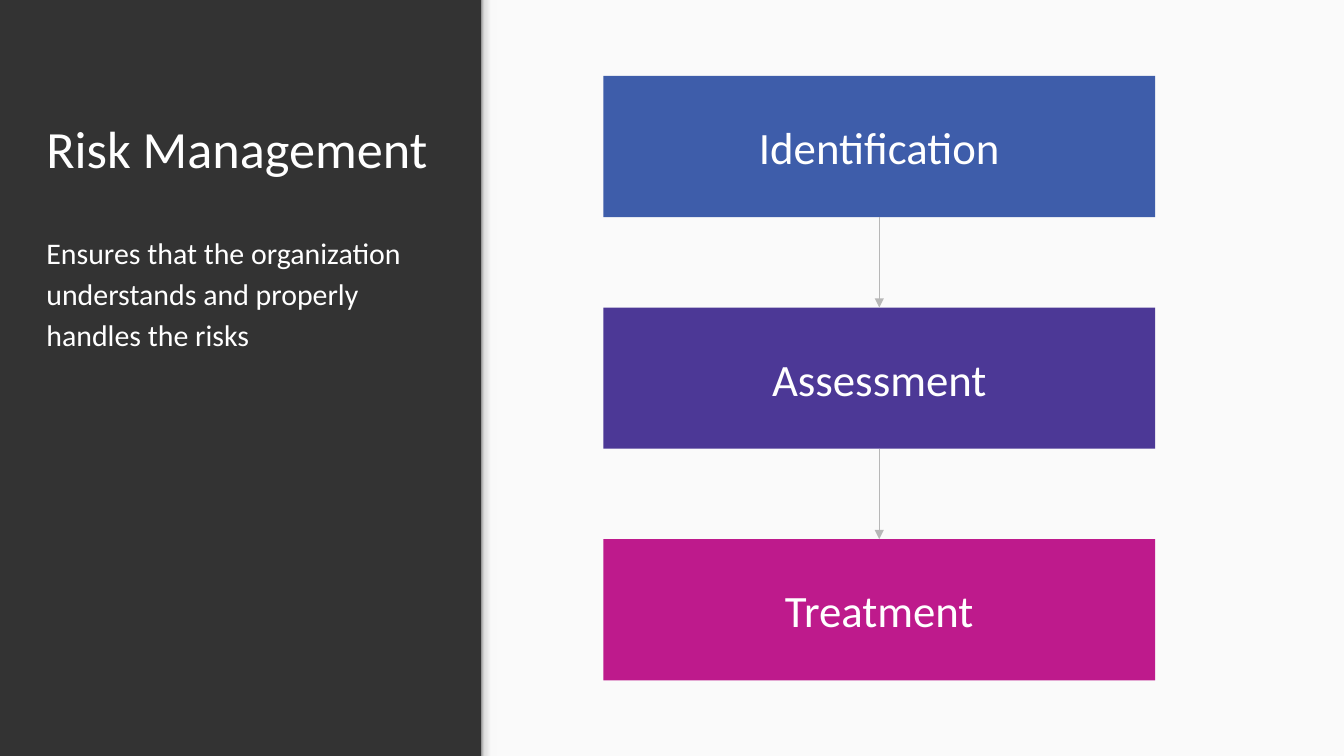
from dataclasses import dataclass
from itertools import pairwise
from typing import Any

from lxml.etree import SubElement
from pptx import Presentation
from pptx.dml.color import RGBColor
from pptx.enum.shapes import MSO_CONNECTOR, MSO_SHAPE
from pptx.enum.text import MSO_ANCHOR, MSO_AUTO_SIZE, PP_ALIGN
from pptx.oxml.ns import qn
from pptx.util import Inches, Pt

DARK = RGBColor(0x33, 0x33, 0x33)
PANEL = RGBColor(0xFA, 0xFA, 0xFA)
WHITE = RGBColor(0xFF, 0xFF, 0xFF)
ARROW = RGBColor(0xB7, 0xB7, 0xB7)
BLUE = RGBColor(0x3E, 0x5D, 0xAA)
PURPLE = RGBColor(0x4C, 0x38, 0x96)
MAGENTA = RGBColor(0xBE, 0x1A, 0x8C)
EDGE_LIGHT = RGBColor(0xF9, 0xF9, 0xF9)
EDGE_MIDDLE = RGBColor(0xDE, 0xDE, 0xDE)
EDGE_DARK = RGBColor(0x99, 0x99, 0x99)

SLIDE_WIDTH = 20
SLIDE_HEIGHT = Pt(809.63).inches
PANEL_LEFT = 7.17
EDGE_WIDTH = 0.24
BOX_LEFT, BOX_WIDTH, BOX_HEIGHT = 8.98, 8.21, 2.1
FIRST_TOP, LAST_TOP = 1.13, 8.02
EDGE_STOPS = [(0, EDGE_LIGHT), (36, EDGE_LIGHT), (80, EDGE_MIDDLE), (100, EDGE_DARK)]

FRAME_FORMAT = {
    "margin_left": Inches(0.2),
    "margin_right": Inches(0.2),
    "margin_top": Inches(0.2),
    "margin_bottom": Inches(0.2),
    "word_wrap": True,
    "auto_size": MSO_AUTO_SIZE.NONE,
}


@dataclass(frozen=True)
class Area:
    left: float
    top: float
    width: float
    height: float


@dataclass(frozen=True)
class Step:
    label: str
    color: RGBColor


STEPS = [
    Step("Identification", BLUE),
    Step("Assessment", PURPLE),
    Step("Treatment", MAGENTA),
]


def set_values(target: Any, values: dict[str, Any]) -> None:
    for name, value in values.items():
        setattr(target, name, value)


def move(shape: Any, area: Area) -> None:
    for side in ("left", "top", "width", "height"):
        setattr(shape, side, Inches(getattr(area, side)))


def write_text(shape: Any, text: str, size: int, anchor: MSO_ANCHOR,
               paragraph_format: dict[str, Any]) -> None:
    set_values(shape.text_frame, FRAME_FORMAT | {"vertical_anchor": anchor})
    paragraph = shape.text_frame.paragraphs[0]
    set_values(paragraph, paragraph_format)
    run = paragraph.add_run()
    run.text = text
    set_values(run.font, {"name": "Calibri", "size": Pt(size)})
    run.font.color.rgb = WHITE


def add_rectangle(slide: Any, area: Area, color: RGBColor) -> Any:
    shape = slide.shapes.add_shape(MSO_SHAPE.RECTANGLE, 0, 0, 0, 0)
    move(shape, area)
    shape.shadow.inherit = False
    shape.fill.solid()
    shape.fill.fore_color.rgb = color
    shape.line.fill.background()
    return shape


def add_panel_edge(slide: Any) -> None:
    center = PANEL_LEFT + EDGE_WIDTH / 2 - 0.01
    area = Area(center - SLIDE_HEIGHT / 2, (SLIDE_HEIGHT - EDGE_WIDTH) / 2,
                SLIDE_HEIGHT, EDGE_WIDTH)
    shape = add_rectangle(slide, area, EDGE_LIGHT)
    shape.rotation = 270
    shape.fill.gradient()
    shape.fill.gradient_angle = 90
    stop_list = shape.element.spPr.find(qn("a:gradFill")).find(qn("a:gsLst"))
    for stop in list(stop_list):
        stop_list.remove(stop)
    for position, color in EDGE_STOPS:
        stop = SubElement(stop_list, qn("a:gs"), pos=str(position * 1000))
        SubElement(stop, qn("a:srgbClr"), val=str(color))


def add_step(slide: Any, step: Step, top: float) -> Any:
    box = add_rectangle(slide, Area(BOX_LEFT, top, BOX_WIDTH, BOX_HEIGHT), step.color)
    write_text(box, step.label, 48, MSO_ANCHOR.MIDDLE, {"alignment": PP_ALIGN.CENTER})
    return box


def connect(slide: Any, upper: Any, lower: Any) -> None:
    connector = slide.shapes.add_connector(MSO_CONNECTOR.STRAIGHT, 0, 0, 0, 0)
    connector.begin_connect(upper, 2)
    connector.end_connect(lower, 0)
    connector.line.color.rgb = ARROW
    connector.line.width = Pt(0.75)
    properties = connector.element.spPr
    SubElement(properties.find(qn("a:ln")), qn("a:tailEnd"),
               type="triangle", w="lg", len="lg")
    SubElement(properties, qn("a:effectLst"))


def fill_placeholders(slide: Any) -> None:
    title, body = slide.shapes.title, slide.placeholders[1]
    move(title, Area(0.49, 0.78, 6.14, 2.08))
    write_text(title, "Risk Management", 56, MSO_ANCHOR.BOTTOM,
               {"alignment": PP_ALIGN.LEFT})
    move(body, Area(0.49, 3.21, 6.14, 2.1))
    write_text(body, "Ensures that the organization understands and properly handles the risks",
               32, MSO_ANCHOR.TOP,
               {"alignment": PP_ALIGN.LEFT, "line_spacing": 1.15,
                "space_before": Pt(0), "space_after": Pt(16)})
    properties = body.text_frame.paragraphs[0]._p.get_or_add_pPr()
    properties.set("marL", "0")
    properties.set("indent", "0")
    SubElement(properties, qn("a:buNone"))


def main() -> None:
    presentation = Presentation()
    presentation.slide_width = Inches(SLIDE_WIDTH)
    presentation.slide_height = Inches(SLIDE_HEIGHT)
    slide = presentation.slides.add_slide(presentation.slide_layouts[1])
    slide.background.fill.solid()
    slide.background.fill.fore_color.rgb = DARK

    add_rectangle(slide, Area(PANEL_LEFT, 0, SLIDE_WIDTH - PANEL_LEFT, SLIDE_HEIGHT), PANEL)
    add_panel_edge(slide)
    fill_placeholders(slide)

    pitch = (LAST_TOP - FIRST_TOP) / (len(STEPS) - 1)
    boxes = [add_step(slide, step, FIRST_TOP + index * pitch)
             for index, step in enumerate(STEPS)]
    for upper, lower in pairwise(boxes):
        connect(slide, upper, lower)

    presentation.save("out.pptx")


if __name__ == "__main__":
    main()
